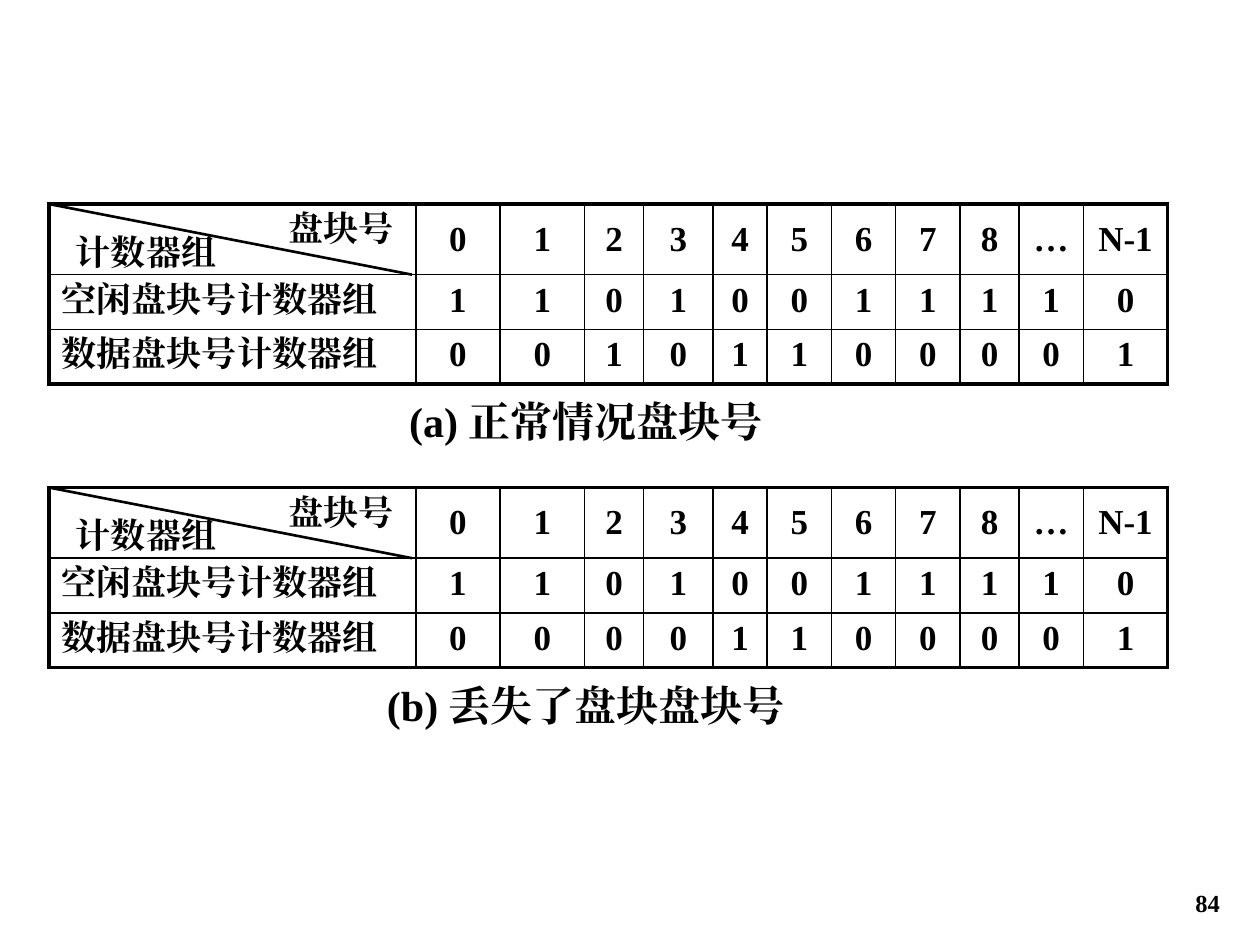
from dataclasses import dataclass

from lxml.etree import SubElement
from pptx import Presentation
from pptx.dml.color import RGBColor
from pptx.enum.shapes import MSO_CONNECTOR
from pptx.enum.text import MSO_ANCHOR, PP_ALIGN
from pptx.oxml.ns import qn
from pptx.util import Inches, Pt

BLACK = RGBColor(0, 0, 0)
FONT = "Times New Roman"
SLIDE_W, SLIDE_H = 10, 7.5
LEFT = 0.39
COLUMNS = (2.91, 0.67, 0.67, 0.47, 0.55, 0.43, 0.51, 0.51, 0.51, 0.47, 0.51, 0.67)
ROWS = (0.56, 0.43, 0.43)
BLOCKS = (*"012345678", "…", "N-1")
OUTER, INNER = Pt(2.25), Pt(1)


@dataclass
class CounterPanel:
    top: float
    free: str
    used: str
    caption: str


PANELS = (
    CounterPanel(1.62, "11010011110", "00101100001", "(a) 正常情况盘块号"),
    CounterPanel(3.87, "11010011110", "00001100001", "(b) 丢失了盘块盘块号"),
)


def write(tf, text: str, size: float, align=PP_ALIGN.CENTER) -> None:
    p = tf.paragraphs[0]
    p.alignment = align
    r = p.add_run()
    r.text = text
    for name, value in {"name": FONT, "size": Pt(size), "bold": True}.items():
        setattr(r.font, name, value)
    r.font.color.rgb = BLACK
    SubElement(r.font._element, qn("a:ea"), typeface=FONT)


def add_text(slide, text: str, box: tuple, size: float,
             align=PP_ALIGN.CENTER, anchor=MSO_ANCHOR.TOP) -> None:
    tf = slide.shapes.add_textbox(*map(Inches, box)).text_frame
    tf.word_wrap = True
    tf.vertical_anchor = anchor
    write(tf, text, size, align)


def set_borders(cell, widths: dict) -> None:
    tc_pr = cell._tc.get_or_add_tcPr()
    for side, width in widths.items():
        ln = SubElement(tc_pr, qn(f"a:ln{side}"), w=str(width))
        fill = SubElement(ln, qn("a:solidFill"))
        SubElement(fill, qn("a:srgbClr"), val=str(BLACK))


def add_counter_table(slide, panel: CounterPanel) -> None:
    rows = (
        ("", *BLOCKS),
        ("空闲盘块号计数器组", *panel.free),
        ("数据盘块号计数器组", *panel.used),
    )
    box = (LEFT, panel.top, sum(COLUMNS), sum(ROWS))
    table = slide.shapes.add_table(len(ROWS), len(COLUMNS), *map(Inches, box)).table
    table.first_row = table.horz_banding = False
    for column, width in zip(table.columns, COLUMNS):
        column.width = Inches(width)
    for row, height in zip(table.rows, ROWS):
        row.height = Inches(height)

    last_row, last_col = len(ROWS) - 1, len(COLUMNS) - 1
    for i, values in enumerate(rows):
        for j, value in enumerate(values):
            cell = table.cell(i, j)
            edges = {"L": j == 0, "R": j == last_col, "T": i == 0, "B": i == last_row}
            set_borders(cell, {side: OUTER if edge else INNER
                               for side, edge in edges.items()})
            cell.fill.background()
            cell.vertical_anchor = MSO_ANCHOR.TOP if i else MSO_ANCHOR.MIDDLE
            if value:
                write(cell.text_frame, value, 20,
                      PP_ALIGN.CENTER if j else PP_ALIGN.LEFT)


def add_corner_line(slide, top: float) -> None:
    ends = (LEFT, top, LEFT + 2.88, top + ROWS[0])
    line = slide.shapes.add_connector(MSO_CONNECTOR.STRAIGHT, *map(Inches, ends))
    line.line.color.rgb = BLACK
    line.line.width = Pt(1.5)
    SubElement(line._element.spPr, qn("a:effectLst"))


def add_panel(slide, panel: CounterPanel) -> None:
    add_counter_table(slide, panel)
    add_corner_line(slide, panel.top)
    add_text(slide, "盘块号", (2.16, panel.top - 0.03, 1.1, 0.43), 20)
    add_text(slide, "计数器组", (0.43, panel.top + 0.16, 1.46, 0.43), 20)
    add_text(slide, panel.caption, (2.8, panel.top + 1.47, 3.7, 0.5), 24)


def main() -> None:
    prs = Presentation()
    prs.slide_width, prs.slide_height = Inches(SLIDE_W), Inches(SLIDE_H)
    slide = prs.slides.add_slide(prs.slide_layouts[6])
    add_text(slide, "84", (7.7, 6.83, 2.08, 0.5), 14,
             PP_ALIGN.RIGHT, MSO_ANCHOR.BOTTOM)
    for panel in PANELS:
        add_panel(slide, panel)
    prs.save("out.pptx")


if __name__ == "__main__":
    main()
